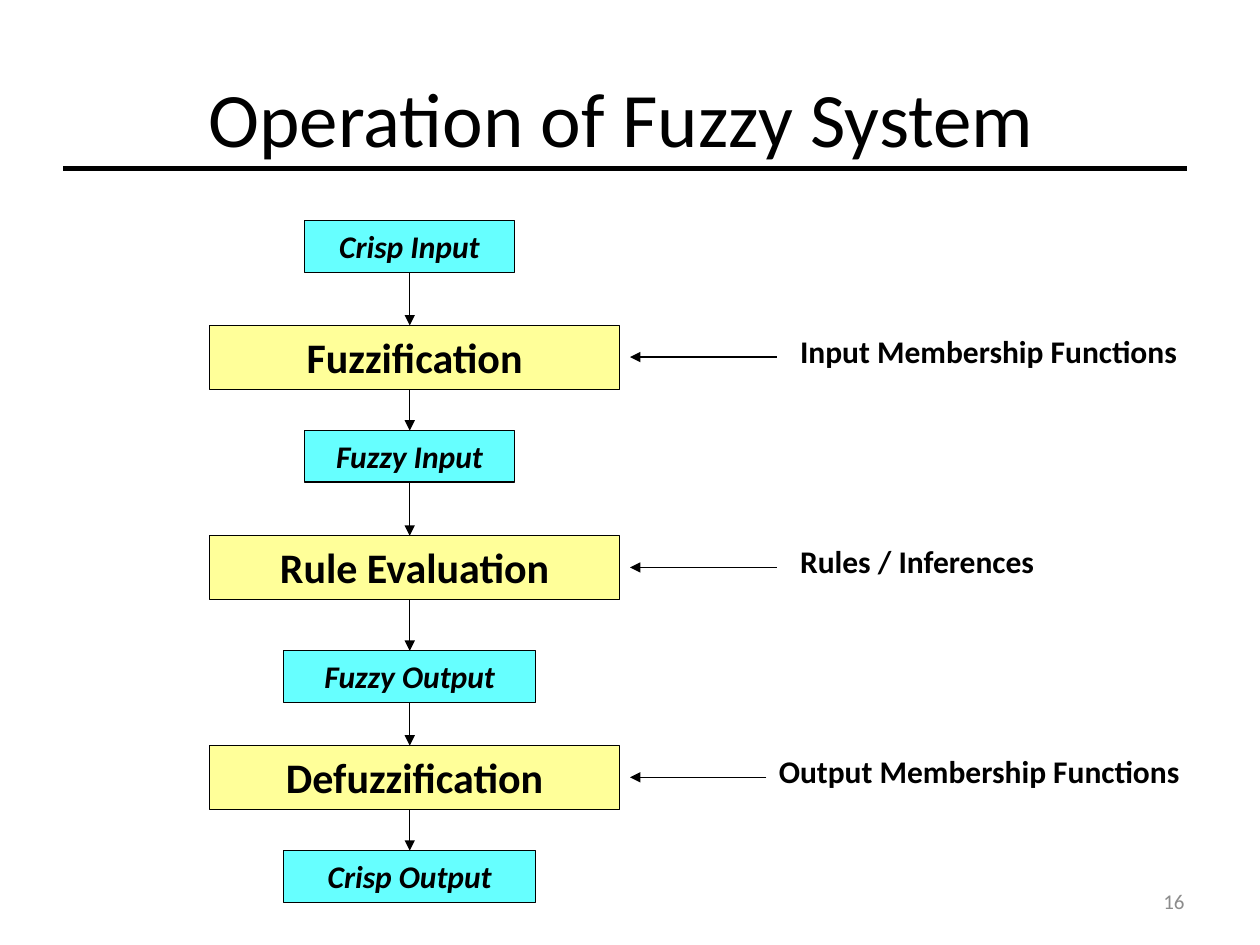
from lxml import etree
from pptx import Presentation
from pptx.dml.color import RGBColor
from pptx.enum.shapes import MSO_CONNECTOR, MSO_SHAPE
from pptx.enum.text import MSO_ANCHOR, PP_ALIGN
from pptx.oxml.ns import qn
from pptx.util import Cm, Pt

RECT = MSO_SHAPE.RECTANGLE
LINE = MSO_CONNECTOR.STRAIGHT
LEFT, MID, RIGHT = PP_ALIGN.LEFT, PP_ALIGN.CENTER, PP_ALIGN.RIGHT
TOP, CENTER = MSO_ANCHOR.TOP, MSO_ANCHOR.MIDDLE
BLACK, CYAN, CREAM, GRAY = "000000", "66FFFF", "FFFF99", "8C8C8C"
color = RGBColor.from_string


def write(shape, text, size, align, bold=False, slant=False, tint=BLACK, anchor=TOP):
    frame = shape.text_frame
    frame.word_wrap = True
    frame.vertical_anchor = anchor
    para = frame.paragraphs[0]
    para.alignment = align
    run = para.add_run()
    run.text = text
    font = run.font
    font.name, font.size = "Calibri", Pt(size)
    font.bold, font.italic = bold, slant
    font.color.rgb = color(tint)


def draw(x1, y1, x2, y2, width=0.75, arrow=True):
    line = slide.shapes.add_connector(LINE, Cm(x1), Cm(y1), Cm(x2), Cm(y2))
    line.line.color.rgb = color(BLACK)
    line.line.width = Pt(width)
    if arrow:
        etree.SubElement(line.line._get_or_add_ln(), qn("a:tailEnd"), type="triangle")
    etree.SubElement(line._element.spPr, qn("a:effectLst"))


deck = Presentation()
deck.slide_width, deck.slide_height = Cm(25.4), Cm(19.05)
slide = deck.slides.add_slide(deck.slide_layouts[5])

title = slide.shapes.title
title.left, title.top, title.width, title.height = Cm(1.27), Cm(0.76), Cm(22.86), Cm(3.18)
write(title, "Operation of Fuzzy System ", 44, MID, anchor=CENTER)
draw(1.27, 3.39, 23.92, 3.39, 3, False)

axis = 8.26
data = (1.04, 18, True, CYAN)
step = (1.29, 24, False, CREAM)
flow = [
    ("Crisp Input", 6.14, 4.45, 4.23, data),
    ("Fuzzification", 4.23, 6.56, 8.26, step),
    ("Fuzzy Input", 6.14, 8.68, 4.23, data),
    ("Rule Evaluation", 4.23, 10.8, 8.26, step),
    ("Fuzzy Output", 5.72, 13.12, 5.08, data),
    ("Defuzzification", 4.23, 15.03, 8.26, step),
    ("Crisp Output", 5.72, 17.15, 5.08, data),
]
end = None
for text, left, top, width, (height, size, slant, fill) in flow:
    box = slide.shapes.add_shape(RECT, Cm(left), Cm(top), Cm(width), Cm(height))
    box.shadow.inherit = False
    box.fill.solid()
    box.fill.fore_color.rgb = color(fill)
    box.line.color.rgb = color(BLACK)
    box.line.width = Pt(0.75)
    write(box, text, size, MID, True, slant)
    if end:
        draw(axis, end, axis, top)
    end = top + height

notes = [
    ("Input Membership Functions", 6.56, 15.88, 9.52, 15.66),
    ("Rules / Inferences", 10.8, 15.88, 8.47, 15.66),
    ("Output Membership Functions", 15.03, 15.45, 9.95, 15.45),
]
for text, top, left, width, start in notes:
    draw(start, top + 0.64, 12.7, top + 0.64)
    note = slide.shapes.add_textbox(Cm(left), Cm(top), Cm(width), Cm(1.02))
    write(note, text, 18, LEFT, True)

page = slide.shapes.add_textbox(Cm(18.2), Cm(17.66), Cm(5.93), Cm(1.01))
write(page, "16", 12, RIGHT, tint=GRAY, anchor=CENTER)

deck.save("out.pptx")
